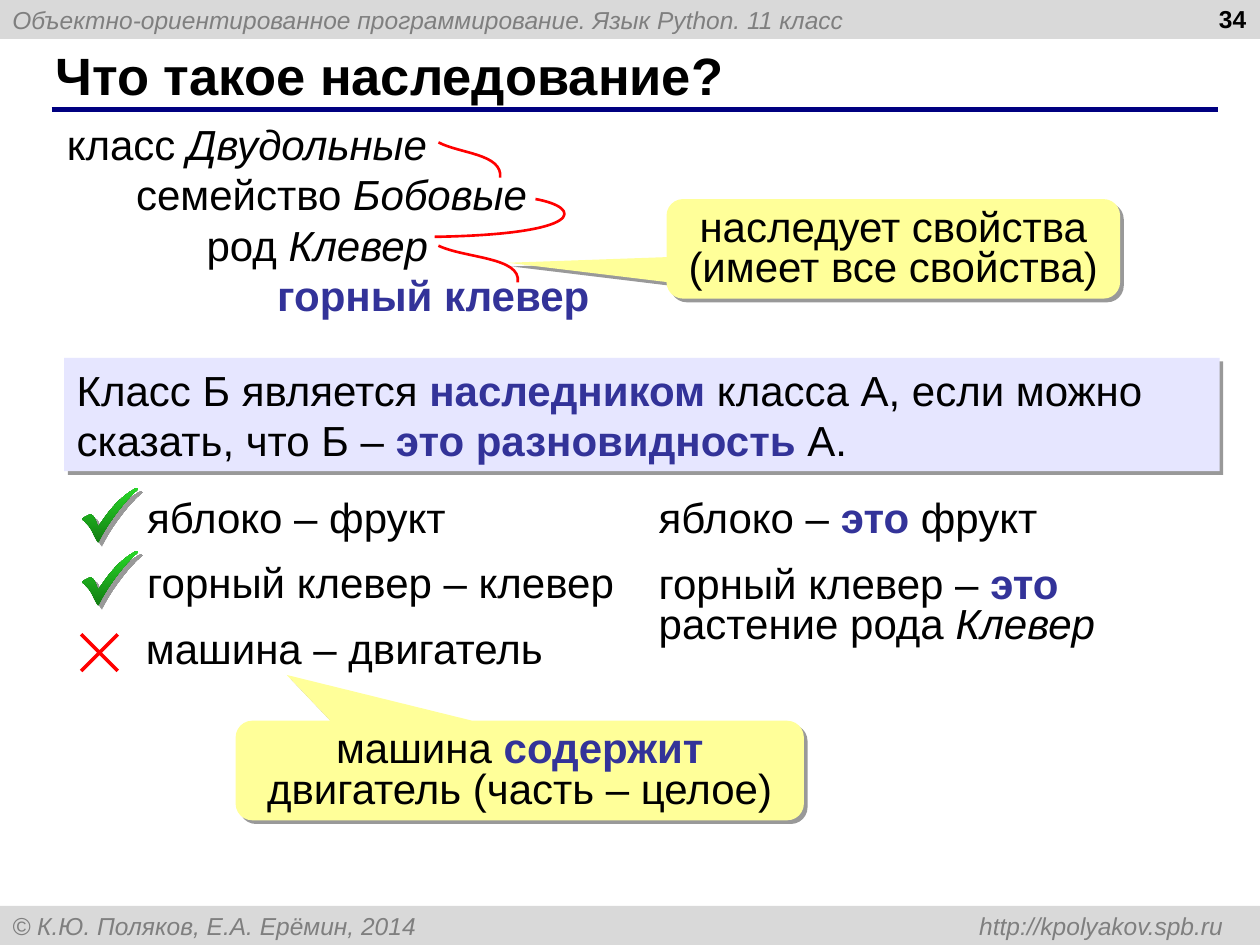
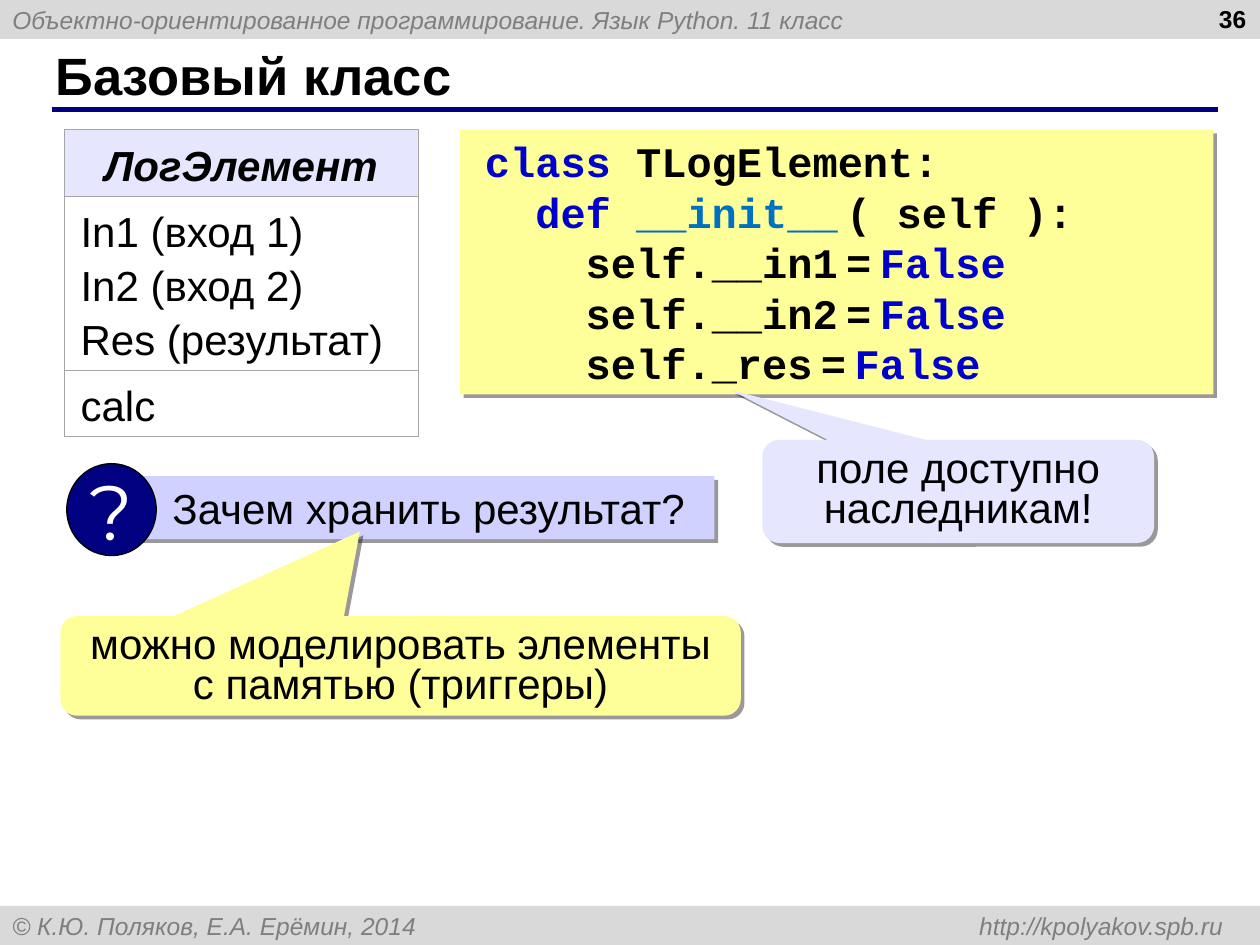
"""Build two slides on inheritance and the base class in Python."""
import pptx
import pptx.util
from lxml import etree
from pptx.dml.color import RGBColor
from pptx.enum.shapes import MSO_CONNECTOR, MSO_SHAPE
from pptx.enum.text import MSO_ANCHOR, MSO_AUTO_SIZE, PP_ALIGN
from pptx.oxml.ns import qn

PX = 9144
COLORS = {
    "band": "D9D9D9", "muted": "7F7F7F", "navy": "000080", "black": "000000",
    "white": "FFFFFF", "accent": "333399", "red": "FF0000", "yellow": "FFFF99",
    "lilac": "E6E6FF", "question": "D1D1FF", "grid": "A6A6A6",
    "keyword": "0000CC", "method": "0070C0",
    "tick_dark": "127D12", "tick_light": "28D728",
}
BODY = {"name": "Arial", "size": 24, "color": "black", "bold": False, "italic": False}
BAND = {**BODY, "size": 14, "color": "muted", "italic": True}
TITLE = {**BODY, "size": 30, "bold": True}
NUMBER = {**BODY, "size": 14, "bold": True}
CODE = {**BODY, "name": "Courier New", "bold": True}
MARK = {**BODY, "name": "Montserrat", "size": 44, "color": "white"}
ACCENT = {"color": "accent", "bold": True}
ITALIC = {"italic": True}
KEYWORD = {"color": "keyword"}
METHOD = {"color": "method"}
THIN = {"size": 8}
LEFT = {"alignment": PP_ALIGN.LEFT}
TIGHT = {"line_spacing": 0.8}
CALLOUT = {"alignment": PP_ALIGN.CENTER, **TIGHT}
TICK = [(7, 21),
        [(3, 23), (2, 23), (0, 25)],
        [(9, 32), (9, 39), (13, 44)],
        [(19, 30), (35, 9), (45, 1)],
        [(44, 0)],
        [(30, 7), (21, 19), (13, 31)],
        [(11, 28), (11, 23), (7, 21)]]


def px(*values):
    return [round(v * PX) for v in values]


def rgb(name):
    return RGBColor.from_string(COLORS[name])


def add_xml(parent, tag, **attrs):
    return etree.SubElement(parent, qn(tag), attrs)


def set_font(font, style):
    for key, value in style.items():
        if key == "color":
            font.color.rgb = rgb(value)
        else:
            setattr(font, key, pptx.util.Pt(value) if key == "size" else value)


def set_indent(p, left, first=0):
    pPr = p._p.get_or_add_pPr()
    for key, value in zip(("marL", "indent"), px(left, first)):
        pPr.set(key, str(value))


def write(tf, paragraphs, style=BODY, layout=LEFT):
    """Fill a text frame; a paragraph is a list of strings and (string, style) pairs."""
    for i, parts in enumerate(paragraphs):
        p = tf.add_paragraph() if i else tf.paragraphs[0]
        for key, value in layout.items():
            setattr(p, key, value)
        for part in parts:
            text, extra = (part, {}) if isinstance(part, str) else part
            r = p.add_run()
            r.text = text
            set_font(r.font, {**style, **extra})
    return tf


def setup_frame(tf, anchor=MSO_ANCHOR.TOP, wrap=True):
    frame = {"word_wrap": wrap, "auto_size": MSO_AUTO_SIZE.NONE, "vertical_anchor": anchor}
    for key, value in frame.items():
        setattr(tf, key, value)
    return tf


def add_text(s, box, paragraphs, style=BODY, layout=LEFT):
    tf = setup_frame(s.shapes.add_textbox(*px(*box)).text_frame)
    return write(tf, paragraphs, style, layout)


def fill_placeholder(sp, box, paragraphs, style=BODY, anchor=MSO_ANCHOR.TOP):
    for key, value in zip(("left", "top", "width", "height"), px(*box)):
        setattr(sp, key, value)
    tf = setup_frame(sp.text_frame, anchor)
    return write(tf, paragraphs, style, {**LEFT, "space_before": 0})


def add_shadow(sp):
    effects = sp._element.spPr.find(qn("a:effectLst"))
    shadow = add_xml(effects, "a:outerShdw", blurRad="0", dist="38100",
                     dir="2700000", algn="tl", rotWithShape="0")
    color = add_xml(shadow, "a:srgbClr", val=COLORS["black"])
    add_xml(color, "a:alpha", val="40000")


def add_shape(s, kind, box, color, shadow=False, anchor=MSO_ANCHOR.TOP, wrap=True):
    sp = s.shapes.add_shape(kind, *px(*box))
    sp.shadow.inherit = False
    sp.fill.solid()
    sp.fill.fore_color.rgb = rgb(color)
    sp.line.fill.background()
    setup_frame(sp.text_frame, anchor, wrap)
    if shadow:
        add_shadow(sp)
    return sp


def add_panel(s, box, color, paragraphs, style=BODY):
    sp = add_shape(s, MSO_SHAPE.RECTANGLE, box, color, shadow=True)
    return write(sp.text_frame, paragraphs, style)


def add_callout(s, box, color, tip, parts):
    sp = add_shape(s, MSO_SHAPE.ROUNDED_RECTANGULAR_CALLOUT, box, color, shadow=True)
    for i, value in enumerate(tip):
        sp.adjustments[i] = value
    write(sp.text_frame, [parts], layout=CALLOUT)


def add_outline(s, outline, origin=(0, 0), close=False):
    """Draw a start point, then straight (one point) and cubic (three point) segments."""
    x, y = origin
    start, *segments = outline
    points = [px(x + a, y + b) for a, b in [start, *sum(segments, [])]]
    builder = s.shapes.build_freeform(*points[0], scale=1.0)
    builder.add_line_segments(points[1:], close=close)
    sp = builder.convert_to_shape()
    sp.shadow.inherit = False
    lines = iter(sp._element.xpath(".//a:path/a:lnTo"))
    for segment in segments:
        steps = [next(lines) for _ in segment]
        if len(steps) == 3:
            curve = etree.Element(qn("a:cubicBezTo"))
            steps[0].addprevious(curve)
            for step in steps:
                curve.append(step[0])
                step.getparent().remove(step)
    return sp


def add_arc(s, start, *controls):
    sp = add_outline(s, [start, list(controls)])
    sp.fill.background()
    sp.line.color.rgb = rgb("red")
    sp.line.width = pptx.util.Pt(1.5)


def add_tick(s, origin):
    sp = add_outline(s, TICK, origin, close=True)
    sp.fill.gradient()
    sp.fill.gradient_angle = 90
    for stop, color in zip(sp.fill.gradient_stops, ("tick_dark", "tick_light")):
        stop.color.rgb = rgb(color)
    sp.line.fill.background()
    add_shadow(sp)


def add_band(s, top, text):
    sp = add_shape(s, MSO_SHAPE.RECTANGLE, (0, top, 1000, 31), "band",
                   anchor=MSO_ANCHOR.MIDDLE)
    p = write(sp.text_frame, [[text]], BAND).paragraphs[0]
    tabs = add_xml(p._p.get_or_add_pPr(), "a:tabLst")
    add_xml(tabs, "a:tab", pos=str(px(961)[0]), algn="r")
    return sp


def add_rule(s):
    rule = s.shapes.add_connector(MSO_CONNECTOR.STRAIGHT, *px(41, 87, 967, 87))
    rule.line.color.rgb = rgb("navy")
    rule.line.width = pptx.util.Pt(3)
    add_xml(rule._element.spPr, "a:effectLst")
    return rule


def decorate_master(prs, s):
    """Make the bands and the title rule on a slide and move them to the master."""
    parts = [
        add_band(s, 0, "Объектно-ориентированное программирование. Язык Python. 11 класс"),
        add_band(s, 719, "© К.Ю. Поляков, Е.А. Ерёмин, 2014\thttp://kpolyakov.spb.ru"),
        add_rule(s)]
    tree = prs.slide_master.shapes._spTree
    for i, sp in enumerate(parts):
        sp._element.xpath(".//p:cNvPr")[0].set("id", str(100 + i))
        tree.insert(2 + i, sp._element)


def start_slide(prs, layout, title, number):
    s = prs.slides.add_slide(prs.slide_layouts[layout])
    fill_placeholder(s.shapes.title, (34, 33, 916, 52), [[title]], TITLE, MSO_ANCHOR.MIDDLE)
    add_text(s, (766, -2, 233, 52), [[number]], NUMBER, {"alignment": PP_ALIGN.RIGHT})
    return s


def add_class_table(s, box, sections):
    """Add a one-column class card; a section is (height, fill, style, align, lines)."""
    tbl = s.shapes.add_table(len(sections), 1, *px(*box)).table
    tbl.first_row = tbl.horz_banding = False
    for i, (height, color, style, align, lines) in enumerate(sections):
        tbl.rows[i].height = px(height)[0]
        cell = tbl.cell(i, 0)
        cell.margin_left = cell.margin_right = px(13)[0]
        if color:
            cell.fill.solid()
            cell.fill.fore_color.rgb = rgb(color)
        else:
            cell.fill.background()
        write(cell.text_frame, [[line] for line in lines], {**BODY, **style},
              {"alignment": align, "line_spacing": 1.15})
        tcPr = cell._tc.get_or_add_tcPr()
        for at, side in enumerate("LRTB"):
            border = etree.Element(qn(f"a:ln{side}"), w="5715")
            fill = add_xml(border, "a:solidFill")
            add_xml(fill, "a:srgbClr", val=COLORS["grid"])
            tcPr.insert(at, border)


def build_inheritance(prs):
    s = start_slide(prs, 1, "Что такое наследование?", "34")
    decorate_master(prs, s)
    tf = fill_placeholder(s.placeholders[1], (43, 89, 500, 170), [
        ["класс ", ("Двудольные", ITALIC)],
        ["семейство ", ("Бобовые", ITALIC)],
        ["род ", ("Клевер", ITALIC)],
        [("горный клевер", ACCENT)]])
    for p, left in zip(tf.paragraphs, (0, 55, 111, 167)):
        set_indent(p, left)
        add_xml(p._p.get_or_add_pPr(), "a:buNone")
    add_arc(s, (411, 224), (414, 204), (369, 205), (348, 195))
    add_arc(s, (345, 188), (465, 186), (463, 165), (425, 158))
    add_arc(s, (397, 141), (399, 122), (365, 122), (348, 113))
    add_callout(s, (529, 158, 360, 79), "yellow", (-0.85, 0.14),
                ["наследует свойства (имеет все свойства)"])
    add_panel(s, (51, 284, 917, 90), "lilac", [[
        "Класс Б является ", ("наследником", ACCENT),
        " класса А, если можно сказать, что Б – ", ("это разновидность", ACCENT), " А."]])
    add_text(s, (513, 385, 373, 50), [["яблоко – ", ("это", ACCENT), " фрукт"]])
    examples = {"яблоко – фрукт": (107, 385, 258, 50),
                "горный клевер – клевер": (107, 437, 395, 50),
                "машина – двигатель": (106, 489, 342, 50)}
    for example, box in examples.items():
        add_text(s, box, [[example]])
    add_text(s, (513, 445, 377, 74), [[
        "горный клевер – ", ("это", ACCENT), " растение рода ", ("Клевер", ITALIC)]],
        layout={**LEFT, **TIGHT})
    for top in (387, 437):
        add_tick(s, (65, top))
    cross = add_shape(s, MSO_SHAPE.MATH_MULTIPLY, (51, 490, 56, 56), "red")
    cross.adjustments[0] = 0.05
    add_callout(s, (187, 572, 451, 79), "yellow", (-0.41, -0.96),
                ["машина ", ("содержит ", ACCENT), "двигатель (часть – целое)"])


def build_base_class(prs):
    s = start_slide(prs, 5, "Базовый класс", "36")
    add_class_table(s, (51, 103, 281, 230), [
        (46, "lilac", {"bold": True, "italic": True}, PP_ALIGN.CENTER, ["ЛогЭлемент"]),
        (138, None, {}, PP_ALIGN.JUSTIFY, ["In1 (вход 1)", "In2 (вход 2)", "Res (результат)"]),
        (46, None, {}, PP_ALIGN.JUSTIFY, ["calc"])])
    fields = [[f"    self.{field}", (" ", THIN), "=", (" ", THIN), ("False", KEYWORD)]
              for field in ("__in1", "__in2", "_res")]
    tf = add_panel(s, (365, 103, 598, 210), "yellow", [
        [("class", KEYWORD), " TLogElement:"],
        ["  ", ("def ", KEYWORD), ("__init__", METHOD), (" ", THIN), "( self ):"],
        *fields], CODE)
    for p in tf.paragraphs:
        set_indent(p, 20, -10)
    tf = add_panel(s, (108, 378, 459, 50), "question", [["Зачем хранить результат?"]])
    set_indent(tf.paragraphs[0], 19)
    mark = add_shape(s, MSO_SHAPE.OVAL, (53, 368, 71, 73), "navy",
                     anchor=MSO_ANCHOR.MIDDLE, wrap=False)
    mark.line.color.rgb = rgb("black")
    mark.line.width = pptx.util.Pt(0.75)
    write(mark.text_frame, [["?"]], MARK, {"alignment": PP_ALIGN.CENTER})
    add_callout(s, (48, 489, 540, 79), "yellow", (-0.06, -1.35),
                ["можно моделировать элементы с памятью (триггеры)"])
    add_callout(s, (605, 349, 311, 82), "lilac", (-0.58, -0.98),
                ["поле доступно наследникам!"])


def main():
    prs = pptx.Presentation()
    prs.slide_width, prs.slide_height = px(1000, 750)
    build_inheritance(prs)
    build_base_class(prs)
    prs.save("out.pptx")


if __name__ == "__main__":
    main()
